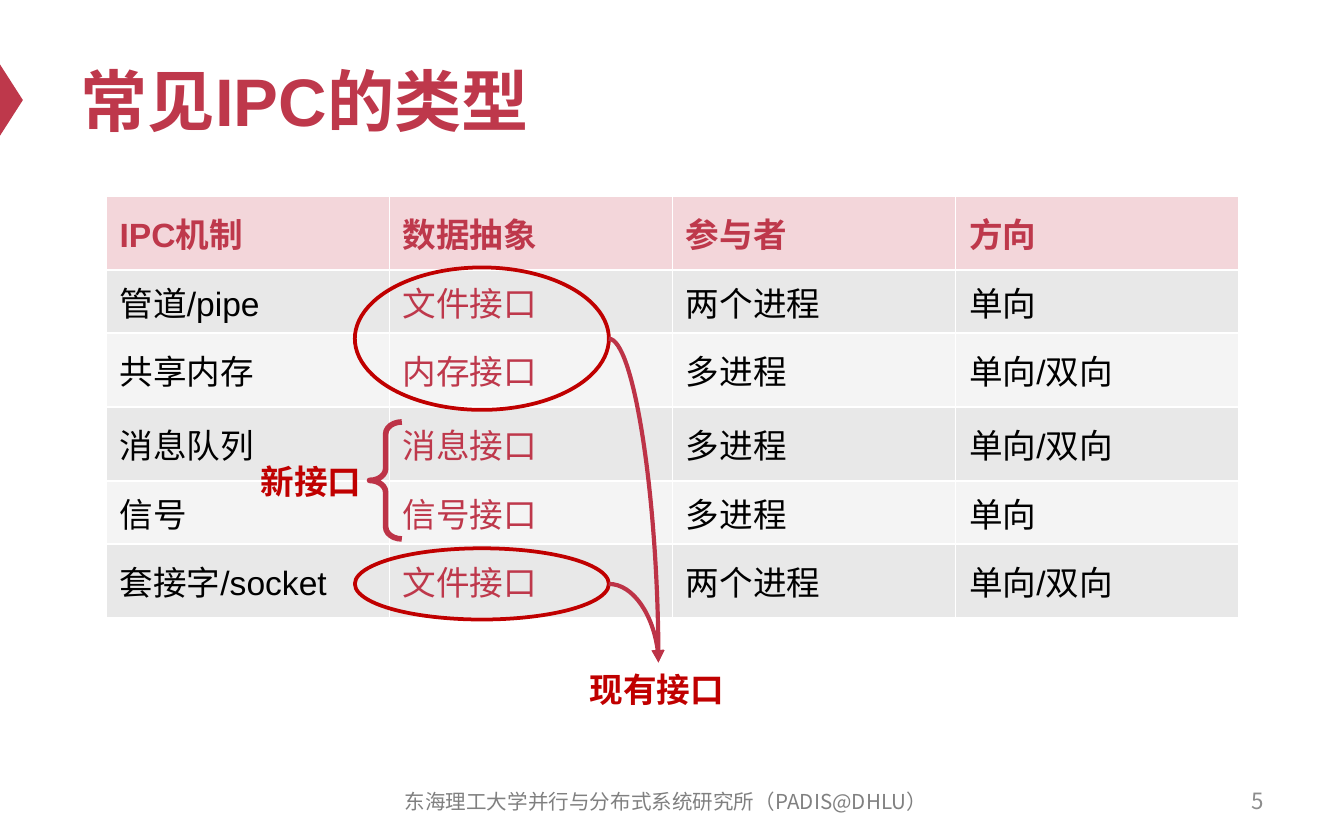
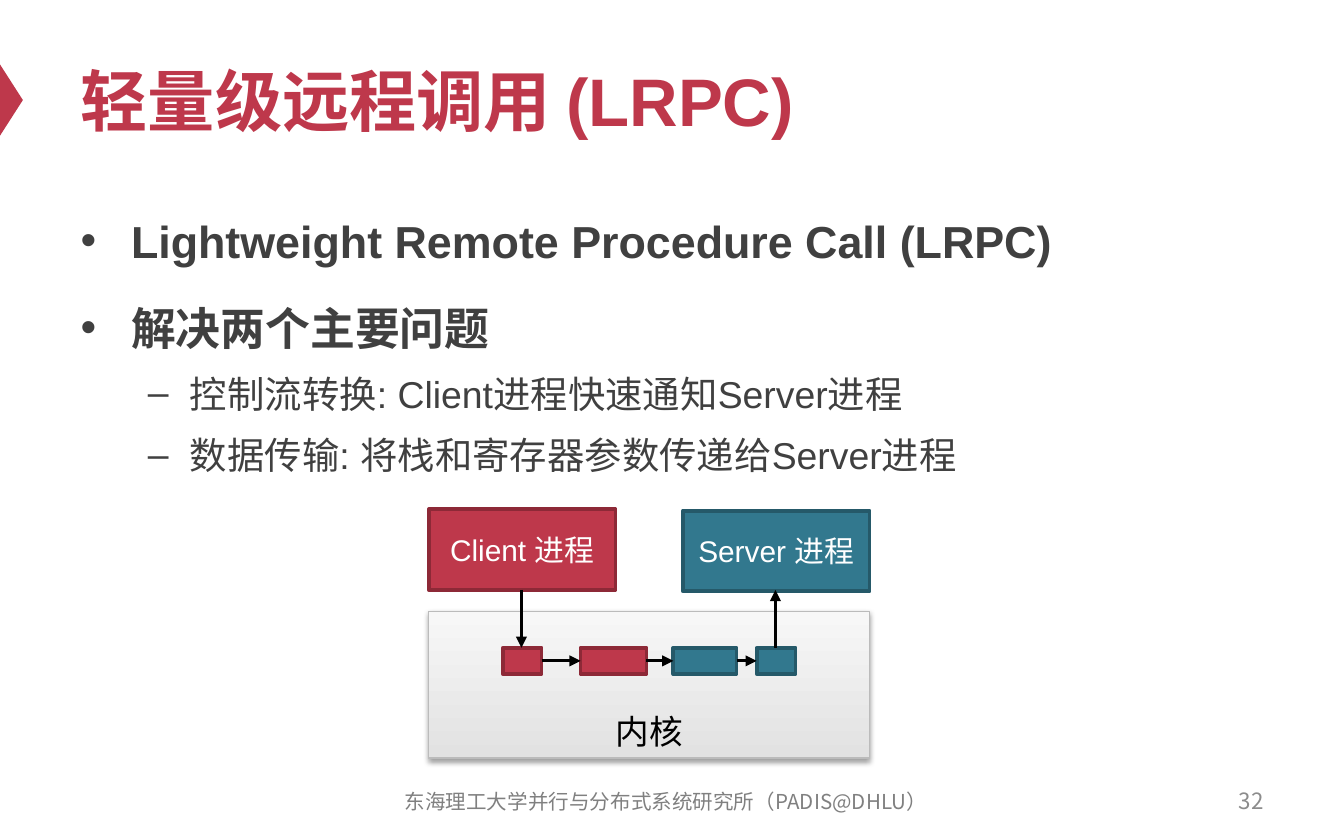
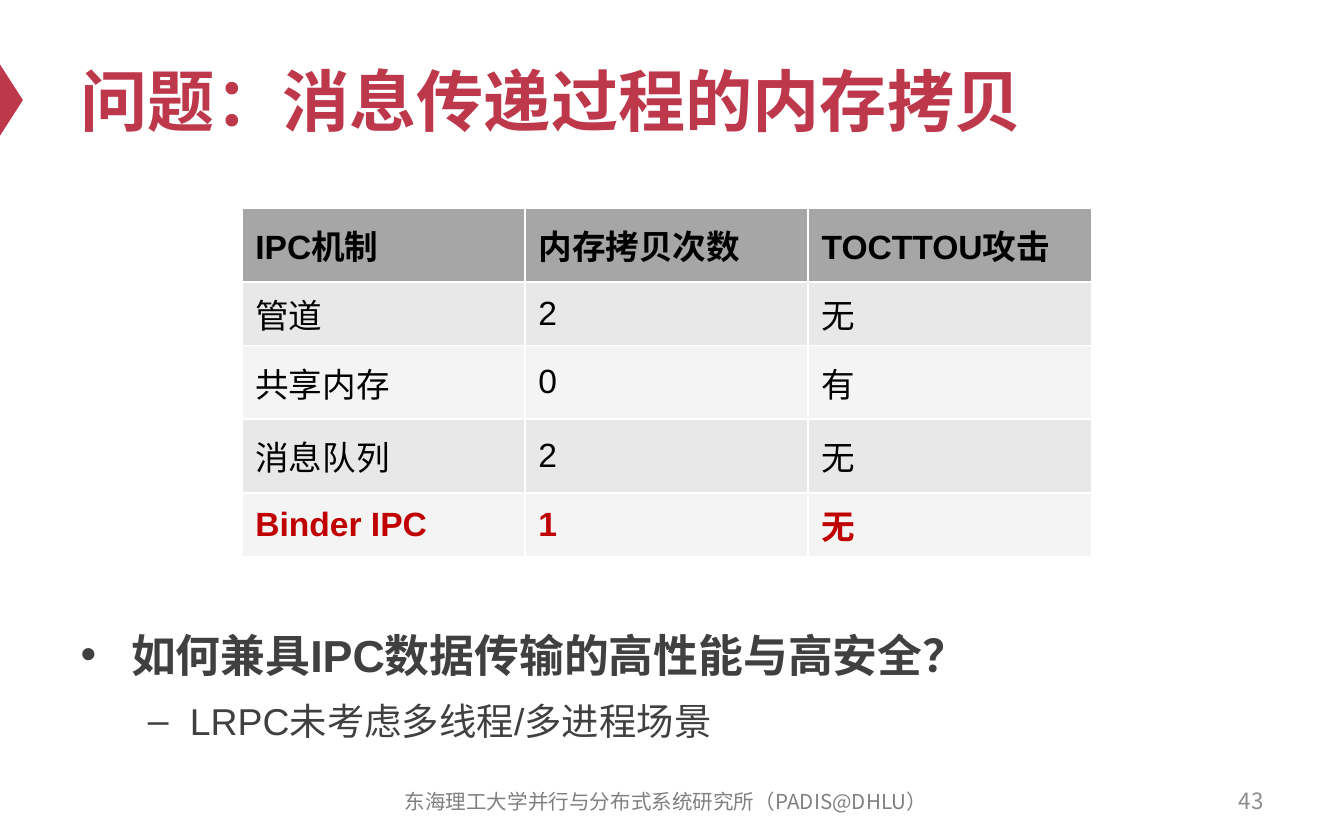
"""Builds three lecture slides on inter-process communication."""
import lxml.etree
import pptx
import pptx.dml.color
import pptx.enum.shapes
import pptx.enum.text
import pptx.oxml.ns
import pptx.util

RED, DEEP, WIRE = "BE384B", "C00000", "BD3347"
TEAL, BLACK, WHITE, GREY = "32788E", "000000", "FFFFFF", "404040"
EDGE = {RED: "8D2937", TEAL: "255969"}
SANS, HAN = "Arial", "Noto Sans CJK SC"
FOOT = "东海理工大学并行与分布式系统研究所（PADIS@DHLU）"
KIND = pptx.enum.shapes.MSO_SHAPE
LINK = pptx.enum.shapes.MSO_CONNECTOR
ALIGN = pptx.enum.text.PP_ALIGN
ANCHOR = pptx.enum.text.MSO_ANCHOR
FIT = pptx.enum.text.MSO_AUTO_SIZE
COLS = 100


def hue(code):
    return pptx.dml.color.RGBColor.from_string(code)


def node(parent, tag, **attrs):
    return lxml.etree.SubElement(parent, pptx.oxml.ns.qn(tag), **attrs)


class Deck:
    """Holds the style and the current slide, on a grid of 100 square columns."""

    def __init__(self):
        self.file = pptx.Presentation()
        self.file.slide_width = pptx.util.Inches(10)
        self.file.slide_height = pptx.util.Inches(6.25)
        self.unit = self.file.slide_width / COLS

    def grid(self, *cells):
        return [round(cell * self.unit) for cell in cells]

    def place(self, shape, *box):
        shape.left, shape.top, shape.width, shape.height = self.grid(*box)

    def style(self, para, text, size, ink, bold=False, face=SANS, align=ALIGN.LEFT):
        para.text = text
        para.alignment = align
        font = para.font
        font.size, font.bold, font.name = pptx.util.Pt(size), bold, face
        font.color.rgb = hue(ink)
        node(font._rPr, "a:ea", typeface=HAN)

    def start(self, title, page, layout):
        self.slide = self.file.slides.add_slide(self.file.slide_layouts[layout])
        self.shapes = self.slide.shapes
        flag = self.shape(KIND.ISOSCELES_TRIANGLE, (-1.8, 6.6, 5.3, 1.7), RED)
        flag.rotation = 90
        head = self.shapes.title
        self.place(head, 5, 2.5, 90, 9.8)
        frame = head.text_frame
        frame.auto_size, frame.vertical_anchor = FIT.NONE, ANCHOR.MIDDLE
        self.style(frame.paragraphs[0], title, 36, RED, True)
        self.label(page, (71.7, 57.9, 23.3, 3.3), 12, "8C8C8C", align=ALIGN.RIGHT)
        self.label(FOOT, (27.9, 58, 43.3, 3.3), 11, "808080", align=ALIGN.CENTER)

    def label(self, text, box, size, ink, bold=False, wrap=True, align=ALIGN.LEFT):
        frame = self.shapes.add_textbox(*self.grid(*box)).text_frame
        frame.word_wrap = wrap
        frame.auto_size = FIT.NONE if wrap else FIT.SHAPE_TO_FIT_TEXT
        frame.vertical_anchor = ANCHOR.MIDDLE if wrap else ANCHOR.TOP
        self.style(frame.paragraphs[0], text, size, ink, bold, HAN, align)

    def list(self, box, items):
        body = self.slide.placeholders[1]
        self.place(body, *box)
        frame = body.text_frame
        frame.auto_size = FIT.NONE
        for i, (level, text) in enumerate(items):
            para = frame.add_paragraph() if i else frame.paragraphs[0]
            self.style(para, text, 20 if level else 24, GREY, not level)
            para.level, para.line_spacing = level, 1.2
            if not level:
                para.space_before = pptx.util.Pt(12)

    def shape(self, kind, box, fill=None, line=None, width=2):
        shape = self.shapes.add_shape(kind, *self.grid(*box))
        shape.shadow.inherit = False
        if fill:
            shape.fill.solid()
            shape.fill.fore_color.rgb = hue(fill)
        else:
            shape.fill.background()
        if line:
            shape.line.color.rgb = hue(line)
            shape.line.width = pptx.util.Pt(width)
        else:
            shape.line.fill.background()
        return shape

    def block(self, box, fill, text=""):
        shape = self.shape(KIND.RECTANGLE, box, fill, EDGE[fill])
        if text:
            self.style(shape.text_frame.paragraphs[0], text, 16, WHITE, align=ALIGN.CENTER)

    def panel(self, box, text):
        shape = self.shape(KIND.RECTANGLE, box, WHITE, "BBBBBB", 0.75)
        shape.fill.gradient()
        shape.fill.gradient_angle = 90
        for stop, code in zip(shape.fill.gradient_stops, ("E2E2E2", "F7F7F7")):
            stop.color.rgb = hue(code)
        glow = shape._element.spPr.find(pptx.oxml.ns.qn("a:effectLst"))
        shade = node(glow, "a:outerShdw", blurRad="39400", dist="20300",
                     dir="5400000", rotWithShape="0")
        node(node(shade, "a:srgbClr", val=BLACK), "a:alpha", val="38000")
        shape.text_frame.vertical_anchor = ANCHOR.BOTTOM
        self.style(shape.text_frame.paragraphs[0], text, 18, BLACK, align=ALIGN.CENTER)

    def arrow(self, start, end, ink=BLACK, width=1.5, curved=False):
        kind = LINK.CURVE if curved else LINK.STRAIGHT
        wire = self.shapes.add_connector(kind, *self.grid(*start, *end))
        wire.line.color.rgb = hue(ink)
        wire.line.width = pptx.util.Pt(width)
        node(wire.get_or_add_ln(), "a:tailEnd", type="triangle")
        props = wire._element.spPr
        node(props, "a:effectLst")
        if curved:
            props.find(pptx.oxml.ns.qn("a:prstGeom")).set("prst", "curvedConnector2")

    def table(self, left, top, rows, head, look):
        highs = [4.7 if r % 3 == 1 else 5.5 for r in range(len(rows))]
        wide = 21.07
        box = self.grid(left, top, wide * len(rows[0]), sum(highs))
        table = self.shapes.add_table(len(rows), len(rows[0]), *box).table
        for col in table.columns:
            col.width = self.grid(wide)[0]
        for r, texts in enumerate(rows):
            table.rows[r].height = self.grid(highs[r])[0]
            for c, text in enumerate(texts):
                cell = table.cell(r, c)
                cell.vertical_anchor = ANCHOR.MIDDLE
                cell.fill.solid()
                cell.fill.fore_color.rgb = hue(("E8E8E8" if r % 2 else "F4F4F4") if r else head)
                self.style(cell.text_frame.paragraphs[0], text, 18, *look(r, c))


def kinds(deck):
    deck.start("常见IPC的类型", "5", 5)
    rows = [("IPC机制", "数据抽象", "参与者", "方向"),
            ("管道/pipe", "文件接口", "两个进程", "单向"),
            ("共享内存", "内存接口", "多进程", "单向/双向"),
            ("消息队列", "消息接口", "多进程", "单向/双向"),
            ("信号", "信号接口", "多进程", "单向"),
            ("套接字/socket", "文件接口", "两个进程", "单向/双向")]
    deck.table(7.9, 14.6, rows, "F3D6DA",
               lambda r, c: (RED if r == 0 or c == 1 else BLACK, r == 0))
    left, wide = 26.4, 18.9
    for top, high in ((19.9, 10.6), (40.8, 5.3)):
        deck.shape(KIND.OVAL, (left, top, wide, high), line=DEEP)
        deck.arrow((left + wide, top + high / 2), (49, 49.3), WIRE, 2.25, True)
    deck.label("现有接口", (42.9, 49.3, 12.3, 4), 18, DEEP, True, False)
    deck.label("新接口", (18.4, 33.8, 9.6, 4), 18, DEEP, True, False)
    brace = deck.shape(KIND.LEFT_BRACE, (27.5, 31.4, 2.4, 8.7), line=WIRE, width=3)
    brace.adjustments[0] = 0.37


def light(deck):
    deck.start("轻量级远程调用 (LRPC)", "32", 1)
    deck.list((5, 14.6, 90, 41.2),
              [(0, "Lightweight Remote Procedure Call (LRPC)"),
               (0, "解决两个主要问题"),
               (1, "控制流转换: Client进程快速通知Server进程"),
               (1, "数据传输: 将栈和寄存器参数传递给Server进程")])
    deck.panel((31.9, 45.5, 32.8, 10.9), "内核")
    deck.block((31.9, 37.9, 13.9, 6), RED, "Client 进程")
    deck.block((50.8, 38, 13.9, 6), TEAL, "Server 进程")
    steps = [(37.4, 2.9, RED), (43.2, 4.9, RED), (50.1, 4.7, TEAL), (56.3, 2.9, TEAL)]
    top, high = 48.2, 1.95
    for left, wide, fill in steps:
        deck.block((left, top, wide, high), fill)
    mid = top + high / 2
    for (left, wide, _), (goal, _, _) in zip(steps, steps[1:]):
        deck.arrow((left + wide, mid), (goal, mid))
    deck.arrow((38.8, 43.9), (38.8, top))
    deck.arrow((57.7, top), (57.7, 43.9))


def copies(deck):
    deck.start("问题：消息传递过程的内存拷贝", "43", 1)
    rows = [("IPC机制", "内存拷贝次数", "TOCTTOU攻击"),
            ("管道", "2", "无"),
            ("共享内存", "0", "有"),
            ("消息队列", "2", "无"),
            ("Binder IPC", "1", "无")]
    deck.table(18, 15.5, rows, "A6A6A6",
               lambda r, c: (DEEP if r == 4 else BLACK, r in (0, 4)))
    deck.list((5, 45.4, 90, 11),
              [(0, "如何兼具IPC数据传输的高性能与高安全？"),
               (1, "LRPC未考虑多线程/多进程场景")])


def main():
    deck = Deck()
    for build in (kinds, light, copies):
        build(deck)
    deck.file.save("out.pptx")


if __name__ == "__main__":
    main()
